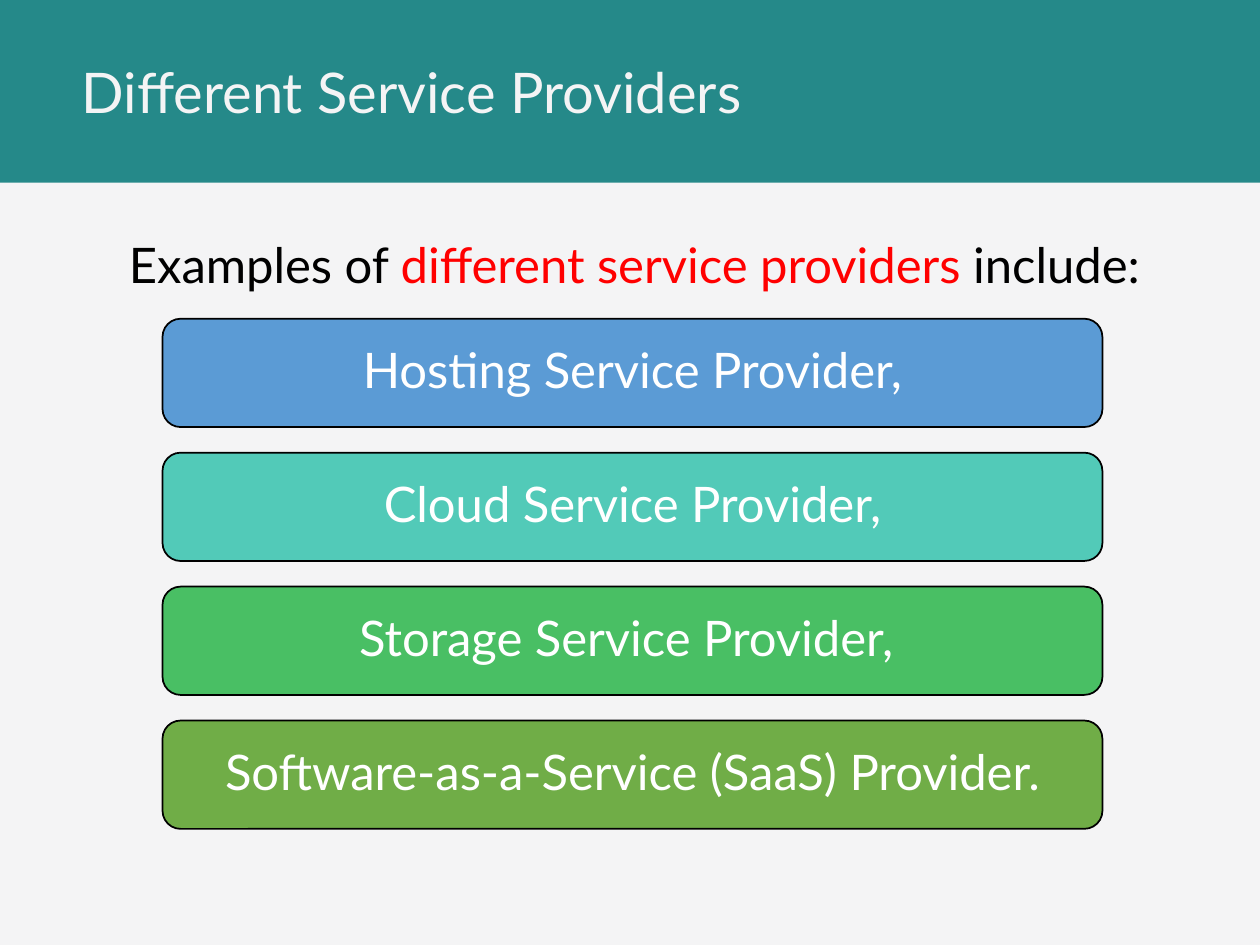
from pptx import Presentation
from pptx import util as u
from pptx.dml import color
from pptx.enum import shapes, text

HUES = {"back": "F4F4F5", "band": "258989", "ink": "000000", "red": "FF0000",
        "white": "FFFFFF", "blue": "5B9BD5", "teal": "52CAB8",
        "green": "49BF64", "olive": "70AD47"}
TITLE = [("Different Service Providers", "back")]
LEAD = [("Examples of ", "ink"), ("different service providers ", "red"),
        ("include:", "ink")]
BARS = [("Hosting Service Provider,", "blue"),
        ("Cloud Service Provider,", "teal"),
        ("Storage Service Provider, ", "green"),
        ("Software-as-a-Service (SaaS) Provider.", "olive")]

WIDE, HIGH = 10, 7.5
HEAD = 1.45
LEFT, TOP, SPAN, TALL, STEP = 1.29, 2.53, 7.46, 0.86, 1.063
MID = text.MSO_ANCHOR.MIDDLE
CENTER = text.PP_ALIGN.CENTER
PAD = {"margin_" + side: u.Inches(0.16)
       for side in ("left", "right", "top", "bottom")}


def hue(name):
    return color.RGBColor.from_string(HUES[name])


def apply(item, form):
    for key, value in form.items():
        setattr(item, key, value)


def paint(fill, name):
    fill.solid()
    fill.fore_color.rgb = hue(name)


def block(slide, kind, area, name):
    shape = slide.shapes.add_shape(kind, *map(u.Inches, area))
    shape.shadow.inherit = False
    paint(shape.fill, name)
    shape.line.fill.background()
    return shape


def write(shape, runs, size, frame, para):
    apply(shape.text_frame, {"word_wrap": True, **frame})
    line = shape.text_frame.paragraphs[0]
    apply(line, para)
    for words, name in runs:
        run = line.add_run()
        run.text = words
        apply(run.font, {"name": "Lato", "size": u.Pt(size)})
        run.font.color.rgb = hue(name)


def main():
    deck = Presentation()
    apply(deck, {"slide_width": u.Inches(WIDE), "slide_height": u.Inches(HIGH)})
    slide = deck.slides.add_slide(deck.slide_layouts[6])
    paint(slide.background.fill, "back")
    block(slide, shapes.MSO_SHAPE.RECTANGLE, (0, 0, WIDE, HEAD), "band")

    boxes = [
        ((0.55, 1.58, 8.97, 5.81), LEAD, 28, {},
         {"alignment": CENTER, "line_spacing": 1.5}),
        ((0.55, 0, 9.45, HEAD), TITLE, 32, {"vertical_anchor": MID}, {}),
    ]
    for area, runs, size, frame, para in boxes:
        box = slide.shapes.add_textbox(*map(u.Inches, area))
        write(box, runs, size, frame, para)

    for row, (words, name) in enumerate(BARS):
        area = (LEFT, TOP + row * STEP, SPAN, TALL)
        bar = block(slide, shapes.MSO_SHAPE.ROUNDED_RECTANGLE, area, name)
        paint(bar.line.fill, "ink")
        bar.line.width = u.Pt(1)
        write(bar, [(words, "white")], 28, {"vertical_anchor": MID, **PAD},
              {"alignment": CENTER, "line_spacing": 0.9})

    deck.save("out.pptx")


if __name__ == "__main__":
    main()
